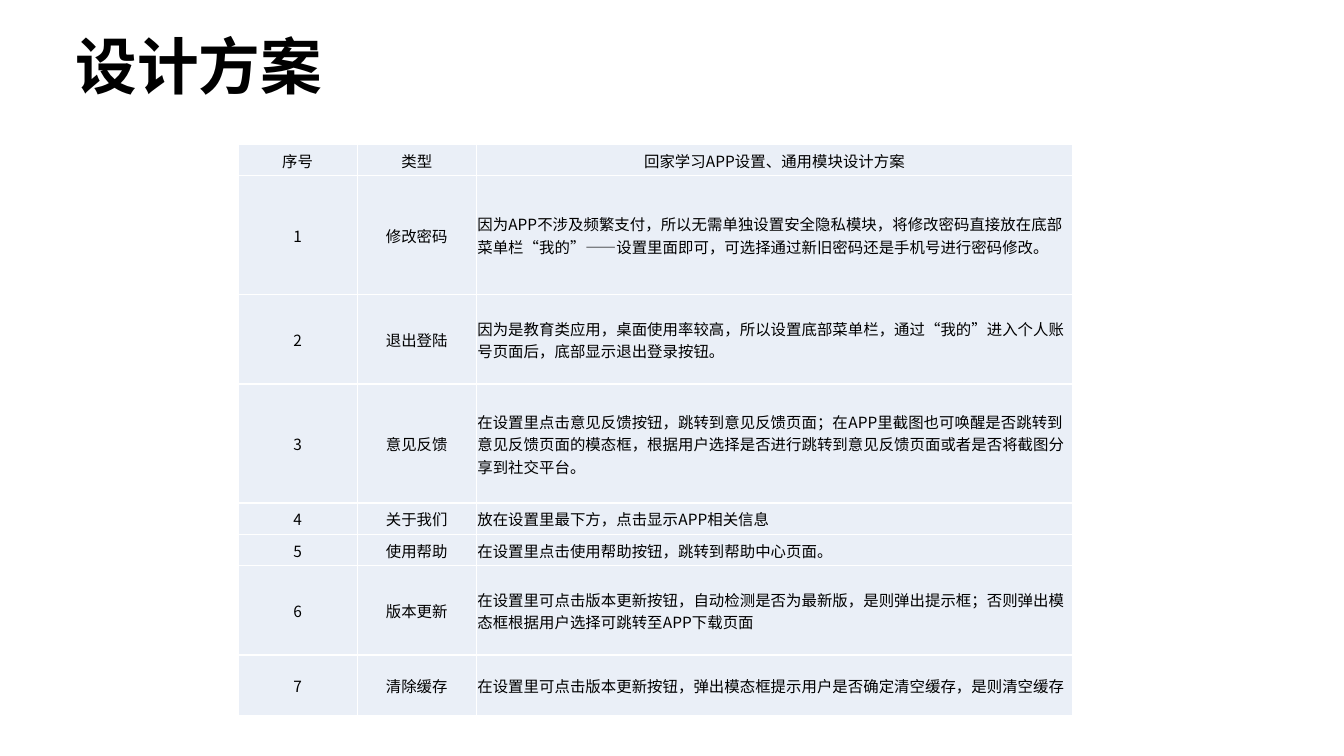
from lxml import etree
from pptx import Presentation
from pptx.dml.color import RGBColor
from pptx.enum.lang import MSO_LANGUAGE_ID
from pptx.enum.text import MSO_ANCHOR, MSO_AUTO_SIZE, PP_ALIGN
from pptx.oxml.ns import qn
from pptx.util import Inches, Pt

LEFT, CENTER = PP_ALIGN.LEFT, PP_ALIGN.CENTER
MIDDLE = MSO_ANCHOR.MIDDLE
NO_AUTOFIT = MSO_AUTO_SIZE.NONE
CHINESE = MSO_LANGUAGE_ID.SIMPLIFIED_CHINESE
COLORS = {"text": "000000", "cell": "EAEFF7", "border": "FFFFFF"}
FONT = "Noto Sans CJK SC"

# Table grid: equal column units, row heights counted in steps
TABLE_LEFT, TABLE_TOP, TABLE_WIDTH = 2.36, 1.43, 8.28
COLUMN_UNITS = (1, 1, 5)
ROW_STEP, ROW_PADDING = 0.29, 0.02

HEADER = (1, "类型", "回家学习APP设置、通用模块设计方案")
PLANS = [
    (4, "修改密码", "因为APP不涉及频繁支付，所以无需单独设置安全隐私模块，将修改密码直接放在底部"
                    "菜单栏“我的”——设置里面即可，可选择通过新旧密码还是手机号进行密码修改。"),
    (3, "退出登陆", "因为是教育类应用，桌面使用率较高，所以设置底部菜单栏，通过“我的”进入个人账"
                    "号页面后，底部显示退出登录按钮。"),
    (4, "意见反馈", "在设置里点击意见反馈按钮，跳转到意见反馈页面；在APP里截图也可唤醒是否跳转到"
                    "意见反馈页面的模态框，根据用户选择是否进行跳转到意见反馈页面或者是否将截图分"
                    "享到社交平台。"),
    (1, "关于我们", "放在设置里最下方，点击显示APP相关信息"),
    (1, "使用帮助", "在设置里点击使用帮助按钮，跳转到帮助中心页面。"),
    (3, "版本更新", "在设置里可点击版本更新按钮，自动检测是否为最新版，是则弹出提示框；否则弹出模"
                    "态框根据用户选择可跳转至APP下载页面"),
    (2, "清除缓存", "在设置里可点击版本更新按钮，弹出模态框提示用户是否确定清空缓存，是则清空缓存"),
]


def add_run(paragraph, text, size, bold=False):
    """Add one formatted run, with the font set for Latin and Chinese text."""
    run = paragraph.add_run()
    run.text = text
    font = run.font
    font.name, font.size, font.bold = FONT, Pt(size), bold
    font.language_id = CHINESE
    font.color.rgb = RGBColor.from_string(COLORS["text"])
    latin = run._r.rPr.find(qn("a:latin"))
    east_asian = etree.Element(qn("a:ea"), typeface=FONT)
    latin.addnext(east_asian)


def add_borders(cell):
    """Draw a thin line on all four sides of a cell."""
    properties = cell._tc.get_or_add_tcPr()
    for position, side in enumerate(("lnL", "lnR", "lnT", "lnB")):
        line = etree.Element(qn(f"a:{side}"), w=str(Pt(1)))
        fill = etree.SubElement(line, qn("a:solidFill"))
        etree.SubElement(fill, qn("a:srgbClr"), val=COLORS["border"])
        properties.insert(position, line)


presentation = Presentation()
presentation.slide_width = Inches(13.33)
presentation.slide_height = Inches(7.5)
slide = presentation.slides.add_slide(presentation.slide_layouts[5])

# Title, ending in a line break
title = slide.shapes.title
title.left, title.top = Inches(0.65), Inches(0.33)
title.width, title.height = Inches(11.5), Inches(1.45)
title.text_frame.auto_size = NO_AUTOFIT
title.text_frame.vertical_anchor = MIDDLE
paragraph = title.text_frame.paragraphs[0]
paragraph.alignment = LEFT
paragraph.line_spacing = 0.9
add_run(paragraph, "设计方案", 44, bold=True)
paragraph.add_line_break()

# Table of design plans
rows = [(HEADER[0], "序号", *HEADER[1:])]
rows += [(steps, str(number), kind, plan)
         for number, (steps, kind, plan) in enumerate(PLANS, start=1)]
heights = [ROW_PADDING + ROW_STEP * row[0] for row in rows]
table = slide.shapes.add_table(
    len(rows), len(COLUMN_UNITS), Inches(TABLE_LEFT), Inches(TABLE_TOP),
    Inches(TABLE_WIDTH), Inches(sum(heights))).table
table.first_row = table.horz_banding = False
for column, units in zip(table.columns, COLUMN_UNITS):
    column.width = Inches(TABLE_WIDTH * units / sum(COLUMN_UNITS))

for row_index, (steps, *texts) in enumerate(rows):
    table.rows[row_index].height = Inches(heights[row_index])
    for column_index, text in enumerate(texts):
        cell = table.cell(row_index, column_index)
        cell.margin_left = cell.margin_right = cell.margin_top = Inches(0.01)
        cell.margin_bottom = 0
        cell.vertical_anchor = MIDDLE
        cell.fill.solid()
        cell.fill.fore_color.rgb = RGBColor.from_string(COLORS["cell"])
        add_borders(cell)
        paragraph = cell.text_frame.paragraphs[0]
        is_plan = row_index > 0 and column_index == 2
        paragraph.alignment = LEFT if is_plan else CENTER
        add_run(paragraph, text, 11)

presentation.save("out.pptx")
